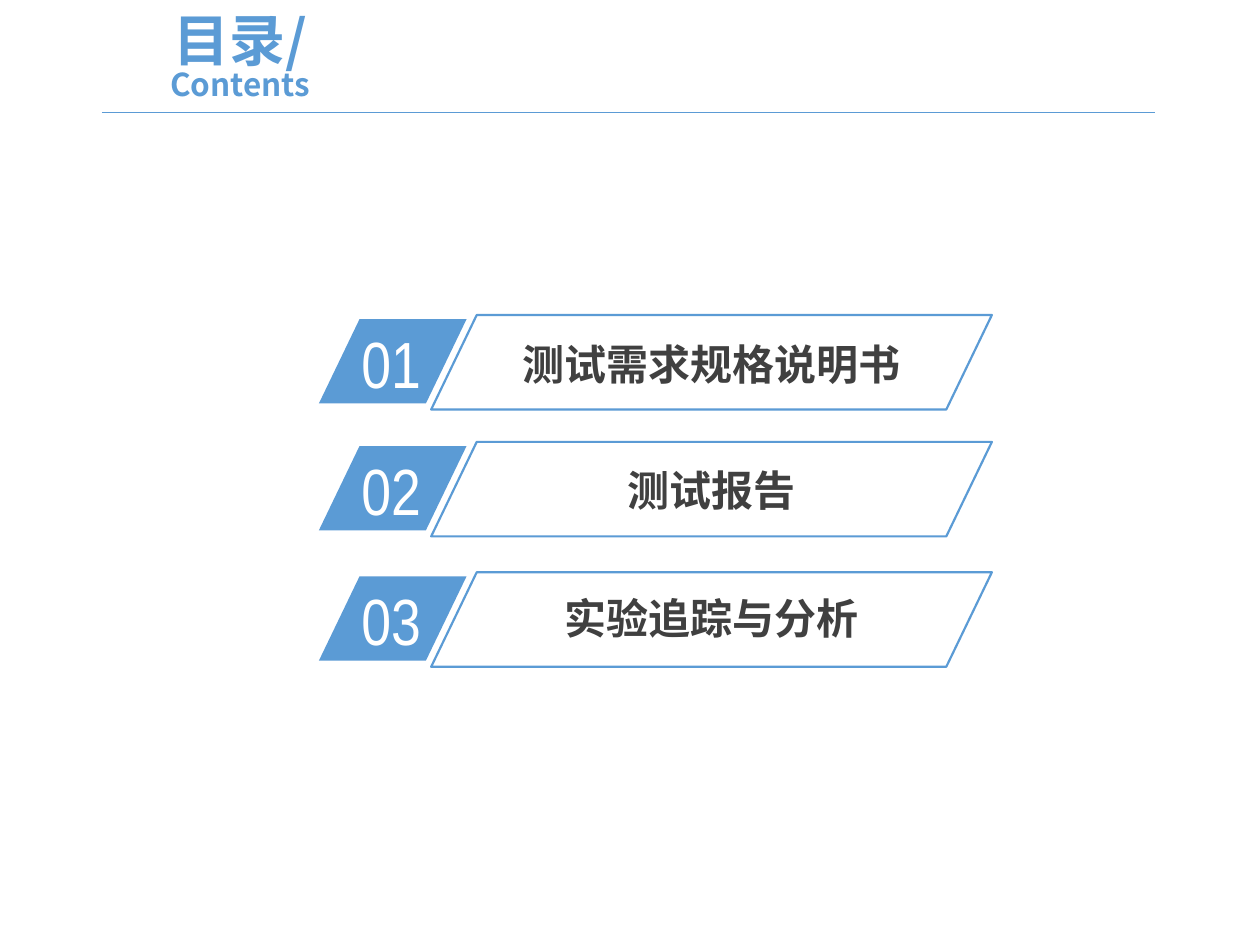
from lxml.etree import SubElement
from pptx import Presentation
from pptx.dml.color import RGBColor
from pptx.enum.shapes import MSO_CONNECTOR, MSO_SHAPE
from pptx.enum.text import MSO_ANCHOR, PP_ALIGN
from pptx.oxml.ns import qn
from pptx.util import Pt

COLORS = {"blue": "5B9BD5", "text": "404040", "white": "FFFFFF"}
CHINESE_FONT = "Noto Sans CJK SC"
NUMBER_FONT = "Arial Narrow"
LABEL_SIZE = 24
ENTRIES = [
    ("01", "测试需求规格说明书", 180, 10),
    ("02", "测试报告", 252.5, 9.5),
    ("03", "实验追踪与分析", 327, 8),
]


def color(name):
    """Return the named colour."""
    return RGBColor.from_string(COLORS[name])


def style_font(font, size, name, color_name, bold=False):
    """Set size, typeface, colour and weight of a font."""
    font.size, font.name, font.bold = Pt(size), name, bold
    font.color.rgb = color(color_name)


def set_east_asian(span, name):
    """Give a run its East Asian typeface."""
    properties = span._r.get_or_add_rPr()
    SubElement(properties, qn("a:ea")).set("typeface", name)


def add_text(shapes, left, top, width, height, text, size, name, color_name, bold=False):
    """Add a one-line text box and return its paragraph."""
    box = shapes.add_textbox(Pt(left), Pt(top), Pt(width), Pt(height))
    box.text_frame.word_wrap = True
    para = box.text_frame.paragraphs[0]
    span = para.add_run()
    span.text = text
    style_font(para.font, size, name, color_name, bold)
    set_east_asian(span, name)
    return para


def add_parallelogram(shapes, left, top, width, height):
    """Add a slanted box without shadow."""
    shape = shapes.add_shape(
        MSO_SHAPE.PARALLELOGRAM, Pt(left), Pt(top), Pt(width), Pt(height)
    )
    shape.adjustments[0] = 0.482
    shape.shadow.inherit = False
    return shape


def add_heading(page, left, top, width, height):
    """Add the two-line heading and the rule below it."""
    box = page.shapes.add_textbox(Pt(left), Pt(top), Pt(width), Pt(height))
    box.text_frame.word_wrap = True
    box.text_frame.vertical_anchor = MSO_ANCHOR.MIDDLE
    para = box.text_frame.paragraphs[0]
    para.alignment = PP_ALIGN.CENTER
    para.line_spacing = 0.8
    para.space_before = Pt(4)
    title = para.add_run()
    title.text = "目录/"
    para.add_line_break()
    subtitle = para.add_run()
    subtitle.text = "Contents"
    for span, size in ((title, 32), (subtitle, 18)):
        style_font(span.font, size, CHINESE_FONT, "blue", True)
        set_east_asian(span, CHINESE_FONT)

    rule_top = Pt(top + 49)
    rule = page.shapes.add_connector(
        MSO_CONNECTOR.STRAIGHT, Pt(left + 10), rule_top, Pt(left + 612), rule_top
    )
    rule.line.color.rgb = color("blue")
    rule.line.width = Pt(0.5)
    SubElement(rule._element.spPr, qn("a:effectLst"))


def add_entry(page, left, top, number, label, label_offset):
    """Add one contents entry: numbered tab, label and outline."""
    shapes = page.shapes.add_group_shape().shapes
    tab = add_parallelogram(shapes, left, top + 2.4, 84.4, 48.2)
    tab.fill.solid()
    tab.fill.fore_color.rgb = color("blue")
    tab.line.fill.background()
    add_text(shapes, left + 17.2, top + 1, 80, 52.6, number, 37.3, NUMBER_FONT, "white")

    outline_left, outline_width = left + 64.2, 320.4
    label_width = LABEL_SIZE * len(label) + 16
    label_left = outline_left + (outline_width - label_width) / 2
    para = add_text(
        shapes, label_left, top + label_offset, label_width, 36,
        label, LABEL_SIZE, CHINESE_FONT, "text", True,
    )
    para.alignment = PP_ALIGN.CENTER

    outline = add_parallelogram(shapes, outline_left, top, outline_width, 54)
    outline.fill.background()
    outline.line.color.rgb = color("blue")
    outline.line.width = Pt(1.25)


def main():
    """Build the contents slide and save it."""
    deck = Presentation()
    deck.slide_width, deck.slide_height = Pt(720), Pt(540)
    page = deck.slides.add_slide(deck.slide_layouts[6])
    add_heading(page, 48.2, 15.1, 178, 39)
    for number, label, top, label_offset in ENTRIES:
        add_entry(page, 182.2, top, number, label, label_offset)
    deck.save("out.pptx")


if __name__ == "__main__":
    main()
